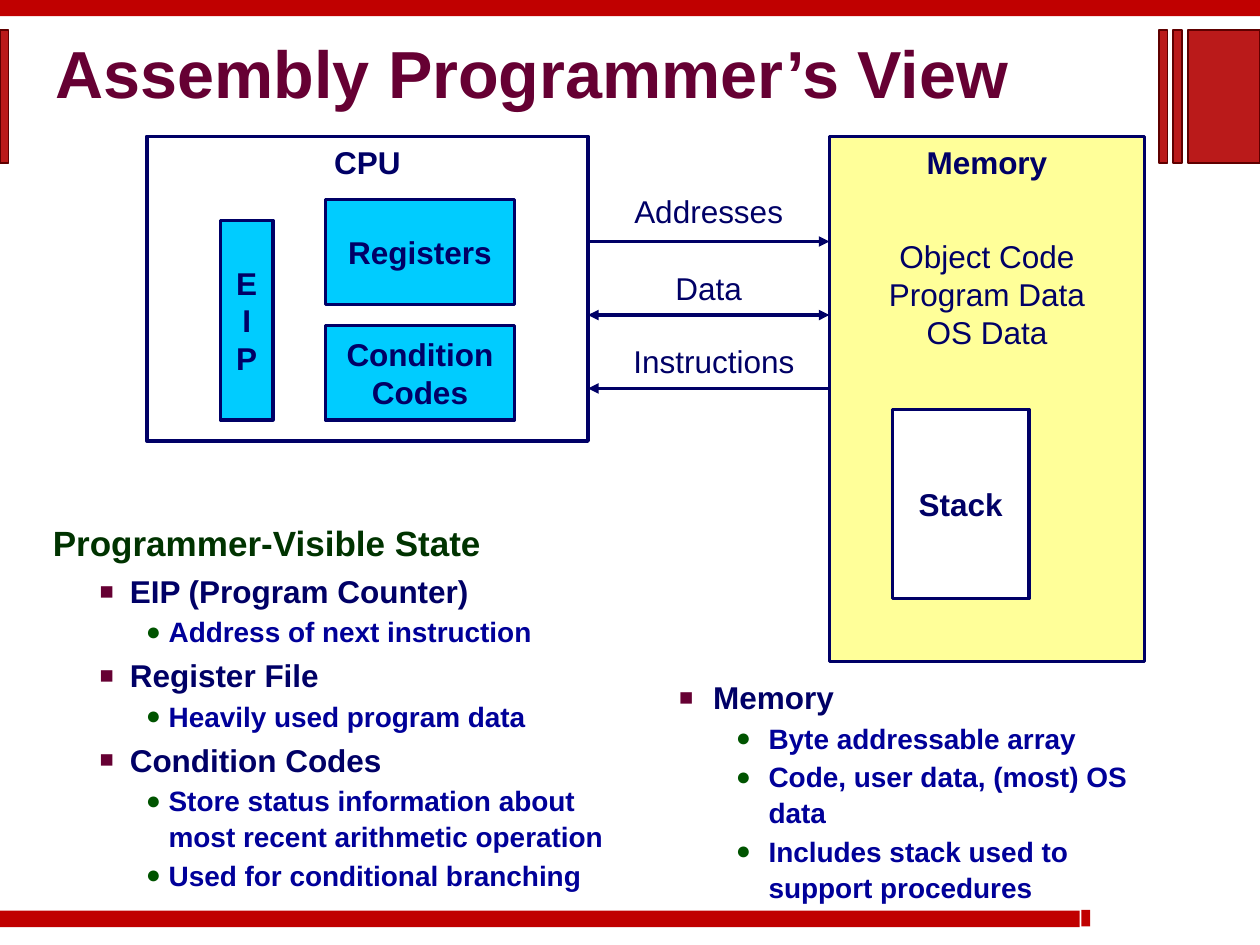
from pptx import Presentation
from pptx import util as u
from pptx.dml.color import RGBColor
from pptx.enum import shapes, text
from pptx.oxml.ns import qn
from lxml import etree

Pt = u.Pt
COLORS = {
    "navy": "000066", "cyan": "00CCFF", "yellow": "FFFF99", "white": "FFFFFF",
    "maroon": "660033", "forest": "003300", "blue": "000099", "green": "005400",
    "band": "C00000", "bar": "BA1A1A", "edge": "5F0000", "shadow": "969696",
}
LEVELS = {
    0: {"size": 20, "color": "forest", "ls": 0.95, "sb": 10},
    1: {"size": 18, "color": "navy", "ls": 1.0, "sb": 4.5, "bullet": ("■", "maroon", 75)},
    2: {"size": 16, "color": "blue", "ls": 1.07, "sb": 1.6, "bullet": ("●", "green", 90)},
}
MIDDLE, TOP = text.MSO_ANCHOR.MIDDLE, text.MSO_ANCHOR.TOP
CENTER, LEFT = text.PP_ALIGN.CENTER, text.PP_ALIGN.LEFT


def rgb(name):
    return RGBColor.from_string(COLORS[name])


def sub(parent, tag, **attrs):
    return etree.SubElement(parent, qn(tag), {k: str(v) for k, v in attrs.items()})


def apply(obj, values):
    for name, value in values.items():
        setattr(obj, name, value)


class Builder:
    face = "Arial"
    size = 18

    def __init__(self, slide):
        self.s = slide

    def font(self, font, size, color, bold):
        apply(font, {"name": self.face, "size": Pt(size), "bold": bold})
        font.color.rgb = rgb(color)

    def place(self, sp, box):
        apply(sp, dict(zip(("left", "top", "width", "height"), map(Pt, box))))

    def lines(self, tf, lines, bold):
        for i, line in enumerate(lines):
            p = tf.paragraphs[0] if i == 0 else tf.add_paragraph()
            p.alignment = CENTER
            r = p.add_run()
            r.text = line
            self.font(r.font, self.size, "navy", bold)

    def rect(self, box, fill=None, line="navy", width=2, label=(), anchor=MIDDLE):
        sp = self.s.shapes.add_shape(shapes.MSO_SHAPE.RECTANGLE, *map(Pt, box))
        sp.shadow.inherit = False
        if fill:
            sp.fill.solid()
            sp.fill.fore_color.rgb = rgb(fill)
        else:
            sp.fill.background()
        if line:
            sp.line.color.rgb = rgb(line)
            sp.line.width = Pt(width)
        else:
            sp.line.fill.background()
        if label:
            apply(sp.text_frame, {"word_wrap": False, "vertical_anchor": anchor})
            self.lines(sp.text_frame, label, True)

    def label(self, box, lines):
        tf = self.s.shapes.add_textbox(*map(Pt, box)).text_frame
        tf.word_wrap = True
        self.lines(tf, lines, False)

    def arrow(self, x1, x2, y, ends):
        c = self.s.shapes.add_connector(
            shapes.MSO_CONNECTOR.STRAIGHT, Pt(x1), Pt(y), Pt(x2), Pt(y))
        c.line.color.rgb = rgb("navy")
        c.line.width = Pt(2)
        for end in ends:
            sub(c.line._get_or_add_ln(), "a:" + end, type="triangle")
        sub(c._element.spPr, "a:effectLst")

    def title(self, box, words):
        sp = self.s.shapes.title
        self.place(sp, box)
        tf = sp.text_frame
        apply(tf, {"margin_left": 0, "margin_right": 0, "margin_top": 0, "margin_bottom": 0,
                   "vertical_anchor": MIDDLE, "word_wrap": True,
                   "auto_size": text.MSO_AUTO_SIZE.NONE})
        p = tf.paragraphs[0]
        apply(p, {"alignment": LEFT, "line_spacing": 0.87})
        r = p.add_run()
        r.text = words
        self.font(r.font, 38, "maroon", True)
        effects = etree.Element(qn("a:effectLst"))
        shadow = sub(effects, "a:outerShdw", dist=Pt(3), dir=2700000, algn="ctr")
        sub(shadow, "a:srgbClr", val=COLORS["shadow"])
        r.font._element.find(qn("a:solidFill")).addnext(effects)

    def bullets(self, idx, box, indents, items):
        sp = self.s.placeholders[idx]
        self.place(sp, box)
        tf = sp.text_frame
        apply(tf, {"vertical_anchor": TOP, "word_wrap": True,
                   "auto_size": text.MSO_AUTO_SIZE.NONE})
        for i, (level, words) in enumerate(items):
            fmt = LEVELS[level]
            p = tf.paragraphs[0] if i == 0 else tf.add_paragraph()
            p.text = words
            pPr = p._p.get_or_add_pPr()
            margin, hang = indents[level]
            pPr.set("marL", str(Pt(margin)))
            pPr.set("indent", str(-Pt(hang)))
            if "bullet" in fmt:
                char, color, percent = fmt["bullet"]
                sub(sub(pPr, "a:buClr"), "a:srgbClr", val=COLORS[color])
                sub(pPr, "a:buSzPct", val=percent * 1000)
                sub(pPr, "a:buFont", typeface=self.face)
                sub(pPr, "a:buChar", char=char)
            else:
                sub(pPr, "a:buNone")
            apply(p, {"level": level, "alignment": LEFT, "line_spacing": fmt["ls"],
                      "space_before": Pt(fmt["sb"] if i else 0)})
            self.font(p.runs[0].font, fmt["size"], fmt["color"], True)


def main():
    prs = Presentation()
    prs.slide_width, prs.slide_height = Pt(720), Pt(540)
    b = Builder(prs.slides.add_slide(prs.slide_layouts[3]))

    b.title((31.7, 22.3, 592.6, 44.6), "Assembly Programmer’s View")
    b.bullets(1, (23, 296, 343.4, 211.7), {0: (0, 0), 1: (44, 17.3), 2: (66.2, 13)}, [
        (0, "Programmer-Visible State"),
        (1, "EIP (Program Counter)"),
        (2, "Address of next instruction"),
        (1, "Register File"),
        (2, "Heavily used program data"),
        (1, "Condition Codes"),
        (2, "Store status information about most recent arithmetic operation"),
        (2, "Used for conditional branching"),
    ])
    b.bullets(2, (342, 384, 321, 123.8), {1: (58.3, 19.4), 2: (90, 18.7)}, [
        (1, "Memory"),
        (2, "Byte addressable array"),
        (2, "Code, user data, (most) OS data"),
        (2, "Includes stack used to support procedures"),
    ])

    b.rect((84, 78, 252, 174), width=2.25, label=["CPU"], anchor=TOP)
    b.rect((126, 126, 30, 114), "cyan", label="EIP")
    b.rect((186, 114, 108, 60), "cyan", label=["Registers"])
    b.rect((186, 186, 108, 54), "cyan", label=["Condition", "Codes"])
    b.rect((474, 78, 180, 300), "yellow", label=["Memory"], anchor=TOP)
    b.rect((510, 234, 78, 108), "white", label=["Stack"])
    b.label((474, 132, 180, 72), ["Object Code", "Program Data", "OS Data"])

    buses = [
        ("Addresses", 336, 106, ["tailEnd"]),
        ("Data", 336, 150, ["headEnd", "tailEnd"]),
        ("Instructions", 342, 192, ["headEnd"]),
    ]
    for i, (name, left, top, ends) in enumerate(buses):
        b.arrow(336, 474, 138 + 42 * i, ends)
        b.label((left, top, 474 - left, 28.8), [name])

    for band in [(0, 0, 720, 9.2), (0, 520.4, 617, 9.4), (618, 520, 5, 9.4)]:
        b.rect(band, "band", line=None)
    for left, width in [(0, 5), (679, 41), (670.4, 5), (662.2, 5)]:
        b.rect((left, 17.2, width, 76.2), "bar", line="edge", width=1)

    prs.save("out.pptx")


if __name__ == "__main__":
    main()
